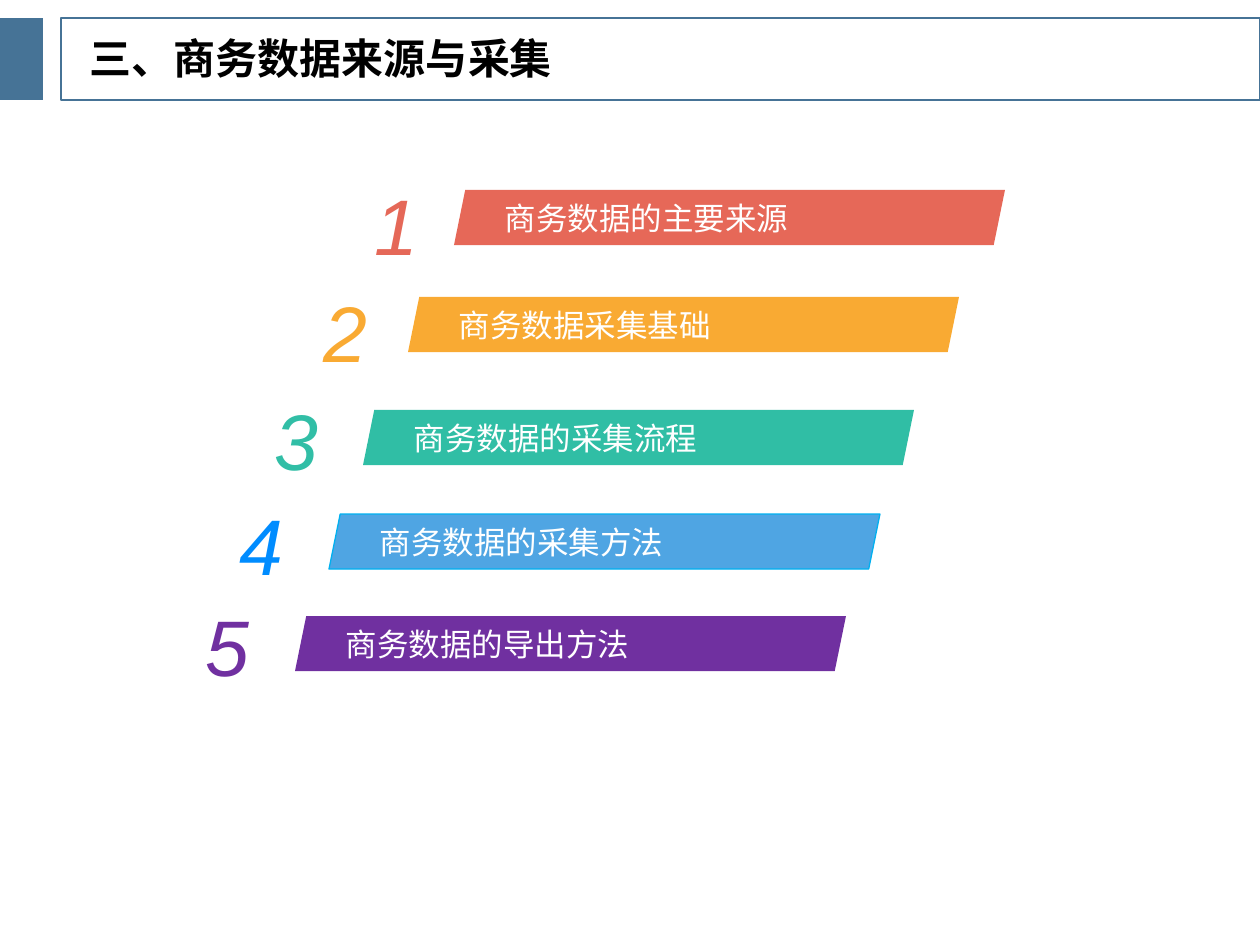
from dataclasses import dataclass

from pptx import Presentation
from pptx.dml.color import RGBColor
from pptx.enum.shapes import MSO_SHAPE
from pptx.enum.text import MSO_ANCHOR, MSO_AUTO_SIZE, PP_ALIGN
from pptx.util import Pt

RECTANGLE = MSO_SHAPE.RECTANGLE
PARALLELOGRAM = MSO_SHAPE.PARALLELOGRAM
MIDDLE = MSO_ANCHOR.MIDDLE
NO_AUTOFIT = MSO_AUTO_SIZE.NONE
LEFT, CENTER, JUSTIFY = PP_ALIGN.LEFT, PP_ALIGN.CENTER, PP_ALIGN.JUSTIFY

EMU_PER_PX = 914400 / 126
SLIDE_WIDTH, SLIDE_HEIGHT = 1260, 945
TITLE_ONLY = 5
BAR_SIZE, BAR_SLANT = (551, 55), 0.204
NUMERAL_SIZE = (126, 165)


@dataclass(frozen=True)
class Theme:
    header: str = "467396"
    title_color: str = "000000"
    label_color: str = "FFFFFF"
    text_font: str = "Quicksand"
    numeral_font: str = "Arial"
    title_size: int = 24
    label_size: int = 18
    numeral_size: int = 45
    frame_line: float = 1
    bar_line: float = 0.75


@dataclass(frozen=True)
class Step:
    label: str
    numeral_at: tuple
    bar_offset: tuple
    bar_color: str
    numeral_color: str
    outline: str = ""


THEME = Theme()
TITLE = "三、商务数据来源与采集"
STEPS = [
    Step("商务数据的主要来源", (333, 142), (121, 48), "E66858", "E56858"),
    Step("商务数据采集基础", (282, 249), (126, 48), "F9AA33", "F9AA33"),
    Step("商务数据的采集流程", (233, 357), (130, 53), "30BEA5", "31BEA6"),
    Step("商务数据的采集方法", (198, 462), (131, 52), "4FA5E3", "008CFF", "00B0F0"),
    Step("商务数据的导出方法", (164, 563), (131, 53), "7030A0", "7030A0"),
]


def px(length):
    return round(length * EMU_PER_PX)


def set_all(target, values):
    for name, value in values.items():
        setattr(target, name, value)


def write(frame, text, color, alignment, font, margins=(0, 0)):
    across, down = map(px, margins)
    set_all(frame, {
        "text": text, "word_wrap": True, "auto_size": NO_AUTOFIT,
        "vertical_anchor": MIDDLE, "margin_left": across, "margin_right": across,
        "margin_top": down, "margin_bottom": down,
    })
    paragraph = frame.paragraphs[0]
    paragraph.alignment = alignment
    set_all(paragraph.font, font)
    paragraph.font.color.rgb = RGBColor.from_string(color)
    return paragraph


def add_panel(slide, preset, box, fill="", outline="", line_width=0):
    panel = slide.shapes.add_shape(preset, *map(px, box))
    panel.shadow.inherit = False
    if fill:
        panel.fill.solid()
        panel.fill.fore_color.rgb = RGBColor.from_string(fill)
    else:
        panel.fill.background()
    if outline:
        panel.line.color.rgb = RGBColor.from_string(outline)
        panel.line.width = Pt(line_width)
    else:
        panel.line.fill.background()
    return panel


def add_header(slide, box):
    left, top, width, height = box
    add_panel(slide, RECTANGLE, (left, top, 43, height), fill=THEME.header)
    add_panel(slide, RECTANGLE, (left + 61, top, width - 61, height),
              outline=THEME.header, line_width=THEME.frame_line)
    title = slide.shapes.title
    title_box = (left + 77, top + 11, 583, 64)
    set_all(title, dict(zip(("left", "top", "width", "height"), map(px, title_box))))
    heading = write(title.text_frame, TITLE, THEME.title_color, LEFT,
                    {"name": THEME.text_font, "size": Pt(THEME.title_size), "bold": True},
                    margins=(13, 6))
    heading.line_spacing = 0.9


def add_step(slide, box, number, step):
    left, top, width, height = box
    across, down = step.bar_offset
    bar = add_panel(slide, PARALLELOGRAM, (left + across, top + down, *BAR_SIZE),
                    step.bar_color, step.outline, THEME.bar_line)
    bar.adjustments[0] = BAR_SLANT
    write(bar.text_frame, step.label, THEME.label_color, JUSTIFY,
          {"name": THEME.text_font, "size": Pt(THEME.label_size)})
    numeral = slide.shapes.add_textbox(*map(px, (left, top, width, height)))
    write(numeral.text_frame, str(number), step.numeral_color, CENTER,
          {"name": THEME.numeral_font, "size": Pt(THEME.numeral_size), "italic": True})


def main():
    deck = Presentation()
    set_all(deck, {"slide_width": px(SLIDE_WIDTH), "slide_height": px(SLIDE_HEIGHT)})
    slide = deck.slides.add_slide(deck.slide_layouts[TITLE_ONLY])
    add_header(slide, (0, 18, SLIDE_WIDTH, 82))
    for number, step in enumerate(STEPS, start=1):
        add_step(slide, (*step.numeral_at, *NUMERAL_SIZE), number, step)
    deck.save("out.pptx")


if __name__ == "__main__":
    main()
